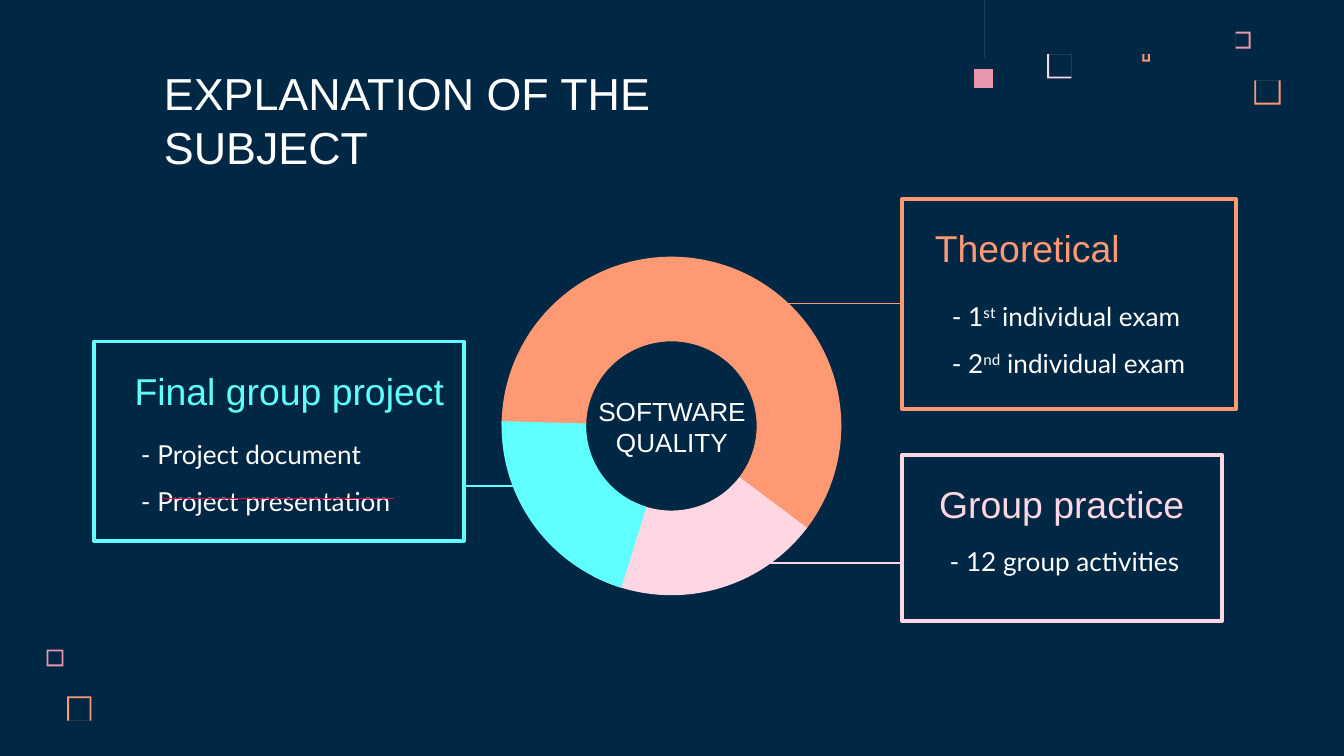
from pptx import Presentation
from pptx import util as u
from pptx.dml.color import RGBColor
from pptx.enum import shapes, text
from pptx.oxml import parse_xml
from pptx.oxml.ns import nsdecls

Pt = u.Pt
COLORS = {
    "navy": "002845",
    "white": "FFFFFF",
    "orange": "FF9973",
    "pink": "FFD6E1",
    "rose": "E898AC",
    "cyan": "5EFFFD",
    "red": "EB003F",
}


def rgb(name):
    return RGBColor.from_string(COLORS[name])


def paint(sp, color):
    sp.shadow.inherit = False
    sp.fill.solid()
    sp.fill.fore_color.rgb = rgb(color)
    sp.line.fill.background()


def add_outline(s, contours, color):
    fb = None
    for start, *rest in contours:
        if fb is None:
            fb = s.shapes.build_freeform(*start, scale=Pt(1))
        else:
            fb.move_to(*start)
        fb.add_line_segments(rest, close=True)
    paint(fb.convert_to_shape(), color)


def add_square_frame(s, x, y, size, color, edge=0.72):
    far_x, far_y = x + size, y + size
    outer = [(x, y), (x, far_y), (far_x, far_y), (far_x, y)]
    inner = [(far_x - edge, y + edge), (far_x - edge, far_y - edge),
             (x + edge, far_y - edge), (x + edge, y + edge)]
    add_outline(s, [inner, outer], color)


def add_text(s, box, paragraphs, size, color="white", font="Arial",
             align="LEFT", anchor="TOP", spacing=None):
    tf = s.shapes.add_textbox(*map(Pt, box)).text_frame
    tf.word_wrap = True
    tf.vertical_anchor = getattr(text.MSO_ANCHOR, anchor)
    tf.margin_left = tf.margin_right = Pt(7.2)
    tf.margin_top = tf.margin_bottom = Pt(7.2)
    for i, runs in enumerate(paragraphs):
        p = tf.add_paragraph() if i else tf.paragraphs[0]
        p.alignment = getattr(text.PP_ALIGN, align)
        if spacing:
            p.line_spacing = spacing
        for content, raised in runs:
            r = p.add_run()
            r.text = content
            r.font.size = Pt(size)
            r.font.name = font
            r.font.color.rgb = rgb(color)
            if raised:
                r._r.get_or_add_rPr().set("baseline", "30000")


def plain(*lines):
    return [[(line, False)] for line in lines]


def exam(number, suffix):
    return [(f"- {number}", False), (suffix, True), (" individual exam", False)]


def add_ring_part(s, start, end, thickness, color):
    sp = s.shapes.add_shape(shapes.MSO_SHAPE.BLOCK_ARC,
                            Pt(268.7), Pt(137.5), Pt(182), Pt(181.4))
    sp.adjustments[0] = start * 0.6
    sp.adjustments[1] = end * 0.6
    sp.adjustments[2] = thickness
    paint(sp, color)


def add_box(s, box, color):
    sp = s.shapes.add_shape(shapes.MSO_SHAPE.RECTANGLE, *map(Pt, box))
    sp.shadow.inherit = False
    sp.fill.background()
    sp.line.color.rgb = rgb(color)
    sp.line.width = Pt(2)


def add_rule(s, x1, x2, y, color):
    sp = s.shapes.add_connector(shapes.MSO_CONNECTOR.STRAIGHT,
                                Pt(x1), Pt(y), Pt(x2), Pt(y))
    sp.line.color.rgb = rgb(color)
    sp.line.width = Pt(0.75)
    sp._element.spPr.append(parse_xml(f"<a:effectLst {nsdecls('a')}/>"))


def add_decoration(s):
    for x, y, size, color in [
        (561.4, 28.7, 13, "pink"),
        (661.5, 17.2, 8.6, "rose"),
        (612.2, 28.6, 4, "orange"),
        (672.5, 42.6, 13, "orange"),
        (25, 348, 8.6, "rose"),
        (35.8, 373.4, 13, "orange"),
    ]:
        add_square_frame(s, x, y, size, color)
    pendant = [(522, 37.4), (522, 47), (531.6, 47), (531.6, 37.4)]
    add_outline(s, [pendant], "rose")
    add_outline(s, [[(526.8, 0), (526.8, 30.7), (527.4, 30.7), (527, 0)]], "pink")


def main():
    prs = Presentation()
    prs.slide_width, prs.slide_height = Pt(720), Pt(405)
    s = prs.slides.add_slide(prs.slide_layouts[6])
    s.background.fill.solid()
    s.background.fill.fore_color.rgb = rgb("navy")
    add_decoration(s)

    add_text(s, (80.8, 54.7, 365, 45.4), plain("EXPLANATION OF THE SUBJECT"),
             24, anchor="BOTTOM")
    for x, y, heading, color, align in [
        (65, 183, "Final group project", "cyan", "LEFT"),
        (451.4, 106.4, "Theoretical", "orange", "CENTER"),
        (496, 243.8, "Group practice", "pink", "LEFT"),
    ]:
        add_text(s, (x, y, 198, 45.4), plain(heading), 20, color,
                 align=align, anchor="BOTTOM")
    add_text(s, (502.8, 145.5, 159, 119.5), [exam(1, "st"), exam(2, "nd")],
             14, font="Lato", spacing=1.5)
    add_text(s, (484.6, 285, 171.4, 33), plain("- 12 group activities"),
             14, font="Lato", align="CENTER")
    add_text(s, (68.4, 219, 171.4, 94.3),
             plain("- Project document", "- Project presentation"),
             14, font="Lato", spacing=1.5)

    add_ring_part(s, 180.13, 37.08, 0.25, "orange")
    add_ring_part(s, 36.9, 117.54, 0.25, "pink")
    add_ring_part(s, 107.23, 181.63, 0.25, "cyan")

    add_rule(s, 248.4, 280, 260.4, "cyan")
    add_box(s, (50.4, 183, 198, 106.8), "cyan")
    add_box(s, (483.2, 243.8, 171.6, 88.8), "pink")
    add_box(s, (483.2, 106.8, 179, 112.2), "orange")
    add_rule(s, 386.6, 483.2, 301.7, "pink")
    add_rule(s, 386.6, 483.2, 162.6, "orange")
    add_text(s, (274.3, 204.5, 171.4, 33), plain("SOFTWARE", "QUALITY"),
             14, align="CENTER")
    add_rule(s, 87, 211, 267, "red")
    prs.save("out.pptx")


if __name__ == "__main__":
    main()
